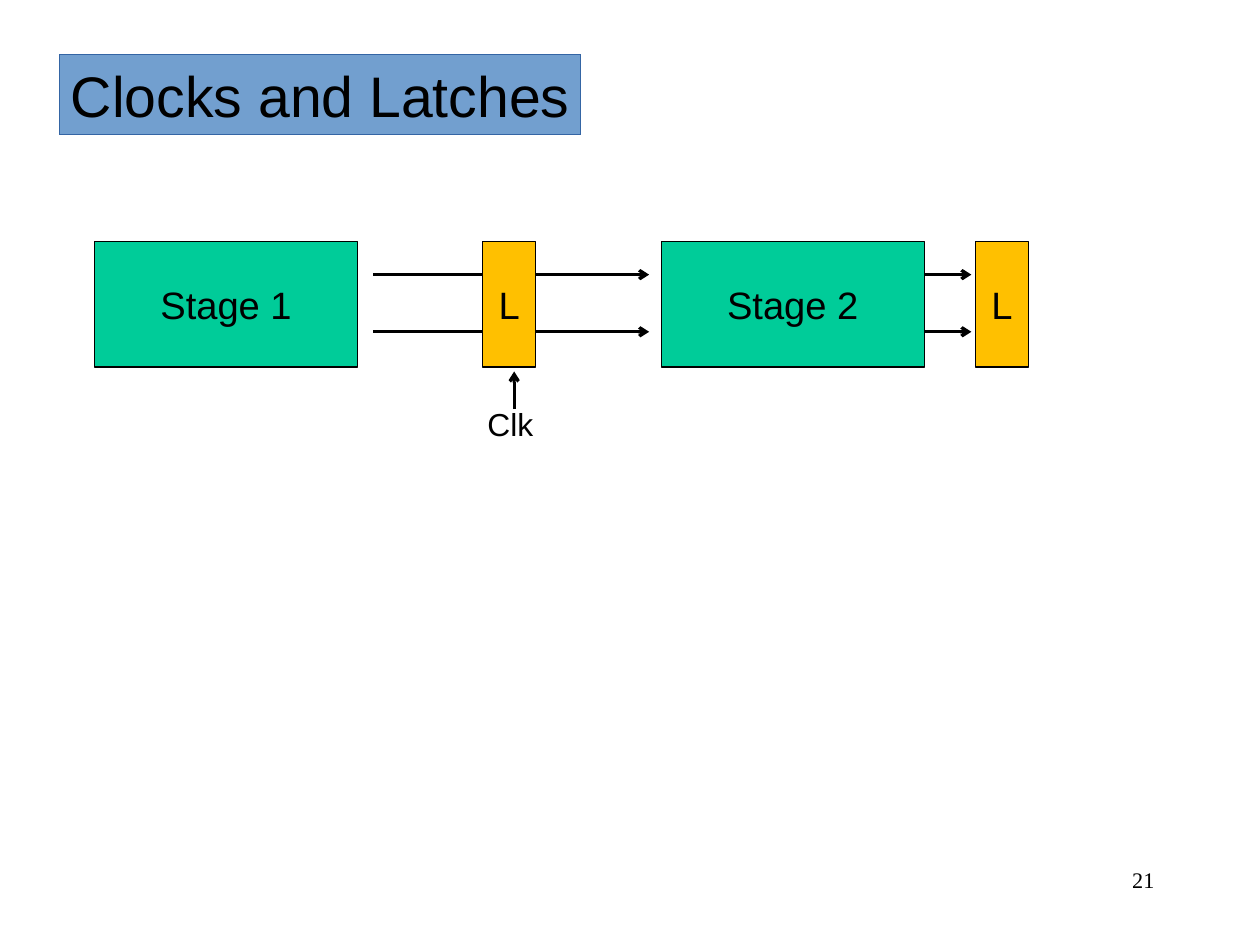
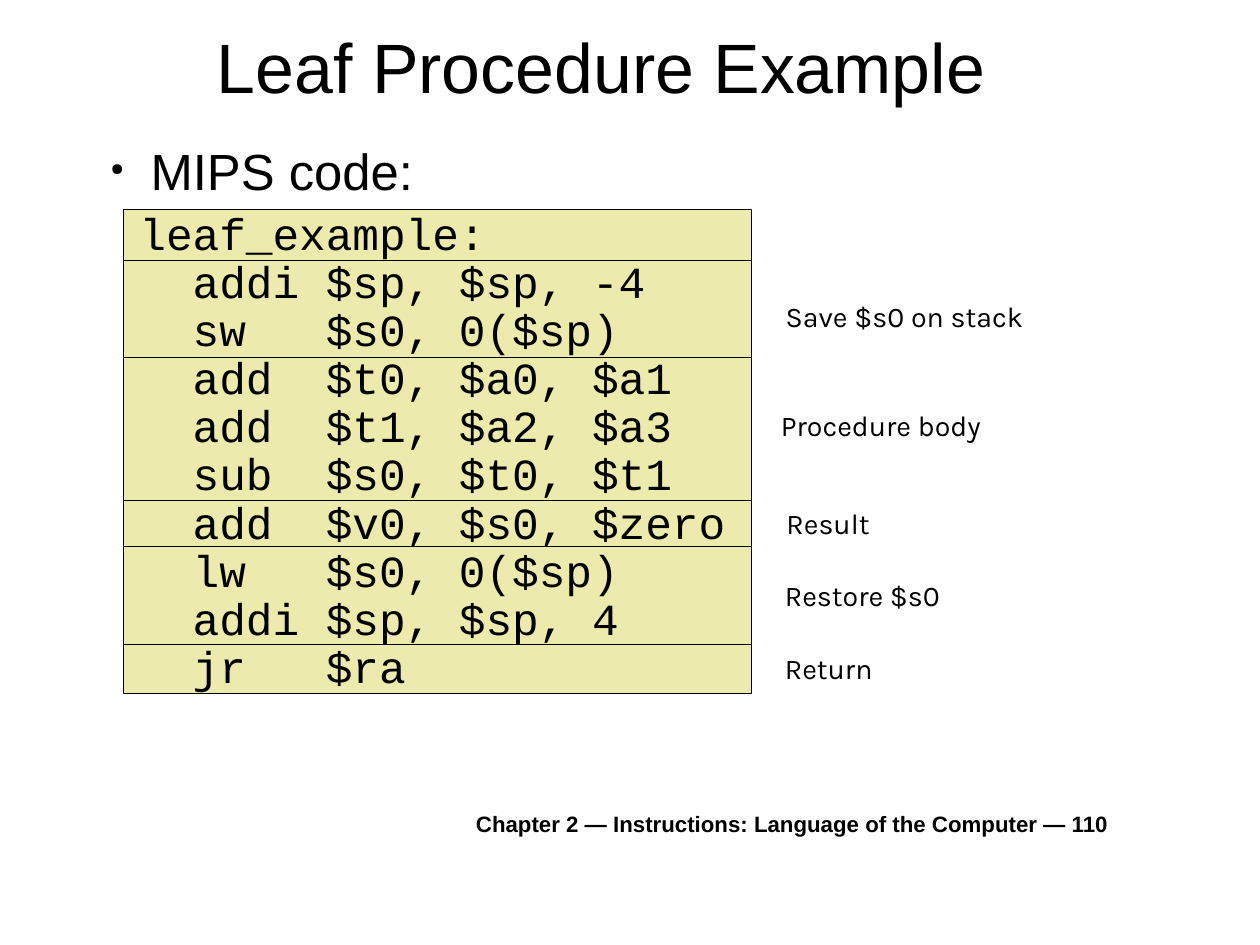
from dataclasses import dataclass

from lxml import etree
from pptx import Presentation
from pptx import util as u
from pptx.dml import color
from pptx.enum import shapes, text
from pptx.oxml import ns

Pt = u.Pt


@dataclass(frozen=True)
class Theme:
    """Colours, fonts and type sizes of the deck."""

    ink: str = "000000"
    band: str = "729FCF"
    band_edge: str = "3465A4"
    stage: str = "00CC99"
    latch: str = "FFC000"
    code_fill: str = "ECEAAC"
    sans: str = "Arial"
    serif: str = "Times New Roman"
    mono: str = "Courier New"
    label: str = "Karla"
    heading: float = 44
    band_heading: float = 36
    bullet: float = 32
    code: float = 28
    block: float = 24
    clock: float = 20
    note: float = 18
    footer: float = 14
    edge: float = 0.75
    wire: float = 2


THEME = Theme()
ALIGN = text.PP_ALIGN
ANCHOR = text.MSO_ANCHOR

CODE_LINES = (
    "leaf_example:",
    "  addi $sp, $sp, -4",
    "  sw   $s0, 0($sp)",
    "  add  $t0, $a0, $a1",
    "  add  $t1, $a2, $a3",
    "  sub  $s0, $t0, $t1",
    "  add  $v0, $s0, $zero",
    "  lw   $s0, 0($sp)",
    "  addi $sp, $sp, 4",
    "  jr   $ra",
)
CODE_SECTIONS = (
    (32.4, None, 0, 0),
    (61.2, "Save $s0 on stack", 0, 4.2),
    (90, "Procedure body", -3, -2.8),
    (28.8, "Result", 0.5, 0),
    (61.9, "Restore $s0", -0.5, 0),
    (31, "Return", -0.5, -1),
)


def rgb(value):
    """Turn a hex string into a colour."""
    return color.RGBColor.from_string(value)


def set_attributes(target, values):
    """Set every attribute in a dict of format values."""
    for name, value in values.items():
        setattr(target, name, value)


def place(shape, box):
    """Move a shape to a box given in points."""
    set_attributes(shape, dict(zip(("left", "top", "width", "height"), map(Pt, box))))


def paint(shape, fill, edge, width=THEME.edge):
    """Give a shape a solid fill and outline."""
    shape.fill.solid()
    shape.fill.fore_color.rgb = rgb(fill)
    shape.line.color.rgb = rgb(edge)
    shape.line.width = Pt(width)


def write(paragraph, words, size, font=THEME.sans, bold=False, **layout):
    """Fill a paragraph and format its runs."""
    paragraph.text = words
    set_attributes(paragraph, layout)
    for run in paragraph.runs:
        set_attributes(run.font, {"size": Pt(size), "name": font, "bold": bold})
        run.font.color.rgb = rgb(THEME.ink)


def indent(paragraph, margin, first=0):
    """Set the left margin and first-line indent of a paragraph."""
    properties = paragraph._p.get_or_add_pPr()
    properties.set("marL", str(Pt(margin)))
    properties.set("indent", str(Pt(first)))
    return properties


def add_bullet(paragraph):
    """Put a small round bullet before a paragraph."""
    properties = indent(paragraph, 33.8, -25.2)
    for tag, name, value in (("a:buSzPct", "val", "33000"), ("a:buChar", "char", "●")):
        etree.SubElement(properties, ns.qn(tag)).set(name, value)


def add_text(slide, box, words, size, font=THEME.sans, bold=False,
             align=ALIGN.LEFT, anchor=ANCHOR.TOP):
    """Add a one-paragraph text box."""
    frame = slide.shapes.add_textbox(*map(Pt, box)).text_frame
    set_attributes(frame, {"word_wrap": True, "vertical_anchor": anchor})
    write(frame.paragraphs[0], words, size, font, bold, alignment=align)


def add_block(slide, box, fill, words=None):
    """Add an outlined rectangle with an optional centred label."""
    shape = slide.shapes.add_shape(shapes.MSO_SHAPE.RECTANGLE, *map(Pt, box))
    shape.shadow.inherit = False
    paint(shape, fill, THEME.ink)
    if words:
        shape.text_frame.vertical_anchor = ANCHOR.MIDDLE
        write(shape.text_frame.paragraphs[0], words, THEME.block,
              alignment=ALIGN.CENTER)


def add_arrow(slide, start, end):
    """Add a straight line with an open arrowhead at its end."""
    connector = slide.shapes.add_connector(
        shapes.MSO_CONNECTOR.STRAIGHT, *map(Pt, (*start, *end)))
    connector.line.color.rgb = rgb(THEME.ink)
    connector.line.width = Pt(THEME.wire)
    etree.SubElement(connector.line._get_or_add_ln(), ns.qn("a:tailEnd")).set("type", "arrow")
    etree.SubElement(connector._element.spPr, ns.qn("a:effectLst"))


def add_titled_slide(presentation, box, words, size, align, anchor):
    """Add a title-only slide and format its title."""
    slide = presentation.slides.add_slide(presentation.slide_layouts[5])
    title = slide.shapes.title
    place(title, box)
    set_attributes(title.text_frame, {
        "word_wrap": True,
        "auto_size": text.MSO_AUTO_SIZE.NONE,
        "vertical_anchor": anchor,
    })
    write(title.text_frame.paragraphs[0], words, size, alignment=align)
    return slide


def add_pipeline(slide, left, top, height):
    """Draw two stages, their latches, the wires and the clock."""
    for start, end in ((175.5, 349.3), (522, 552.3)):
        for drop in (21, 57):
            add_arrow(slide, (left + start, top + drop), (left + end, top + drop))
    for words, offset in (("Stage 1", 0), ("Stage 2", 357)):
        add_block(slide, (left + offset, top, 165.6, height), THEME.stage, words)
    for offset in (244.6, 555):
        add_block(slide, (left + offset, top, 33.1, height), THEME.latch, "L")
    bottom = top + height
    add_arrow(slide, (left + 264.3, bottom + 26.5), (left + 264.3, bottom + 2.8))
    add_text(slide, (left + 240.4, bottom + 20, 50, 31.7), "Clk", THEME.clock)


def add_code_sections(slide, left, top, width):
    """Stack the code bands and set a label beside each."""
    label_height = 28.8
    for height, words, shift, drop in CODE_SECTIONS:
        add_block(slide, (left, top, width, height), THEME.code_fill)
        if words:
            label_top = top + (height - label_height) / 2 + drop
            add_text(slide, (left + width + 14.5 + shift, label_top, 180, label_height),
                     words, THEME.note, THEME.label)
        top += height


def add_code_text(slide, box):
    """Write the bullet and the code listing under it."""
    frame = slide.shapes.add_textbox(*map(Pt, box)).text_frame
    frame.word_wrap = True
    heading = frame.paragraphs[0]
    add_bullet(heading)
    write(heading, "MIPS code:", THEME.bullet, line_spacing=0.9)
    listing = frame.add_paragraph()
    indent(listing, 26.8)
    write(listing, "\v".join(CODE_LINES), THEME.code, THEME.mono,
          line_spacing=Pt(30.3), space_before=Pt(6.3))


def build_latch_slide(presentation):
    """Build the slide on clocks and latches."""
    slide = add_titled_slide(presentation, (37.5, 34.5, 328.3, 50.4), "Clocks and Latches",
                             THEME.band_heading, ALIGN.LEFT, ANCHOR.TOP)
    title = slide.shapes.title
    title.text_frame.margin_right = Pt(0)
    paint(title, THEME.band, THEME.band_edge, 0)
    add_pipeline(slide, 59.6, 152, 79.2)
    add_text(slide, (568.8, 542.3, 165.5, 39.6), "21", THEME.footer, THEME.serif,
             align=ALIGN.RIGHT)


def build_procedure_slide(presentation):
    """Build the slide with the leaf procedure listing."""
    slide = add_titled_slide(presentation, (54, 11.5, 650, 60), "Leaf Procedure Example",
                             THEME.heading, ALIGN.CENTER, ANCHOR.BOTTOM)
    add_code_sections(slide, 78, 131.8, 395.3)
    add_code_text(slide, (54, 88.6, 651, 402.5))
    add_text(slide, (133, 502.5, 572.5, 28),
             "Chapter 2 — Instructions: Language of the Computer — 110",
             THEME.footer, bold=True, align=ALIGN.RIGHT, anchor=ANCHOR.BOTTOM)


def main():
    """Build and save the deck."""
    presentation = Presentation()
    set_attributes(presentation, {"slide_width": Pt(793.7), "slide_height": Pt(595.28)})
    build_latch_slide(presentation)
    build_procedure_slide(presentation)
    presentation.save("out.pptx")


if __name__ == "__main__":
    main()
